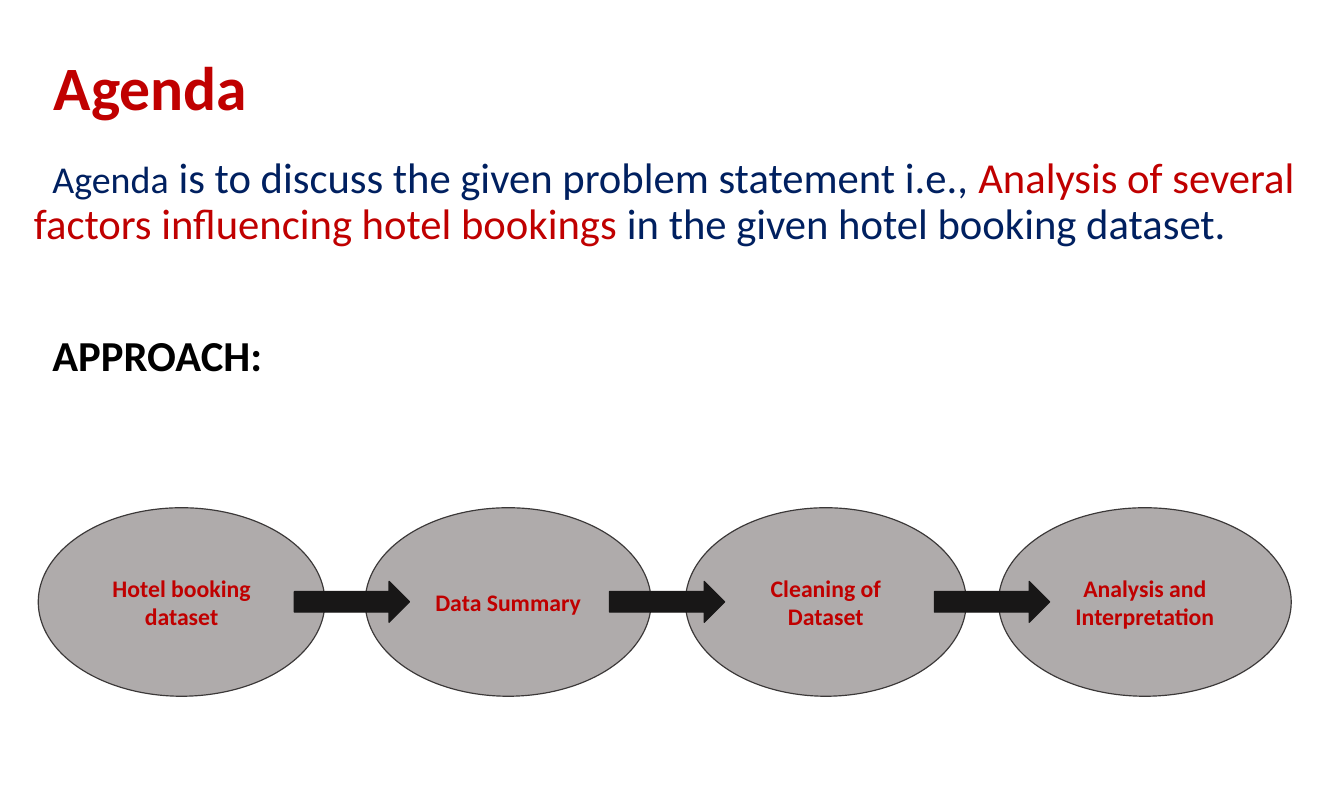
from pptx import Presentation
from pptx.dml.color import RGBColor
from pptx.enum.shapes import MSO_SHAPE as Preset
from pptx.enum.text import MSO_ANCHOR as Anchor, PP_ALIGN as Align
from pptx.util import Cm, Pt

COLORS = {"red": "C00000", "navy": "002060", "black": "000000",
          "gray": "AFABAB", "outline": "3B3838", "arrow": "181717"}


def add_span(para, text, size, color, bold=False):
    span = para.add_run()
    span.text = text
    span.font.name = "Calibri"
    span.font.size = Pt(size)
    span.font.bold = bold
    span.font.color.rgb = RGBColor.from_string(COLORS[color])


def add_preset(preset, left, top, width, height, fill, line):
    shape = page.shapes.add_shape(preset, Cm(left), Cm(top), Cm(width), Cm(height))
    shape.shadow.inherit = False
    shape.fill.solid()
    shape.fill.fore_color.rgb = RGBColor.from_string(COLORS[fill])
    shape.line.color.rgb = RGBColor.from_string(COLORS[line])
    shape.line.width = Pt(1)
    return shape


deck = Presentation()
deck.slide_width, deck.slide_height = Cm(40), Cm(23.39)
page = deck.slides.add_slide(deck.slide_layouts[6])

# Title
title = page.shapes.add_textbox(Cm(1.35), Cm(0.74), Cm(35.59), Cm(3.91)).text_frame
title.word_wrap = True
title.vertical_anchor = Anchor.MIDDLE
para = title.paragraphs[0]
para.line_spacing = 0.9
add_span(para, "Agenda", 52, "red", bold=True)

# Problem statement and approach heading
body = page.shapes.add_textbox(Cm(0), Cm(4.54), Cm(40), Cm(8)).text_frame
body.word_wrap = True
statement, approach = body.paragraphs[0], body.add_paragraph()
for para in (statement, approach):
    para.line_spacing = 0.9
    properties = para._p.get_or_add_pPr()
    properties.set("marL", str(Cm(0.76)))
    properties.set("indent", str(Cm(0.55)))
approach.space_before = Pt(72)

add_span(statement, "Agenda", 32, "navy")
add_span(statement, " is to discuss the given problem statement i.e., ", 36, "navy")
add_span(statement, "Analysis of several factors influencing hotel bookings ", 36, "red")
add_span(statement, "in the given hotel booking dataset.", 36, "navy")
add_span(approach, "APPROACH:", 36, "black", bold=True)

# Approach steps: label, left, width
steps = [("Hotel booking dataset", 1.14, 8.53),
         ("Data Summary", 10.87, 8.51),
         ("Cleaning of Dataset", 20.4, 8.36),
         ("Analysis and Interpretation", 29.72, 8.71)]
for label, left, width in steps:
    step = add_preset(Preset.OVAL, left, 15.11, width, 5.61, "gray", "outline")
    frame = step.text_frame
    frame.word_wrap = True
    frame.vertical_anchor = Anchor.MIDDLE
    frame.margin_left = frame.margin_right = Cm(0.38)
    frame.margin_top = frame.margin_bottom = Cm(0.18)
    para = frame.paragraphs[0]
    para.alignment = Align.CENTER
    add_span(para, label, 20, "red", bold=True)

# Arrows between the steps
for left in (8.76, 18.14, 27.81):
    add_preset(Preset.RIGHT_ARROW, left, 17.3, 3.43, 1.22, "arrow", "arrow")

deck.save("out.pptx")
